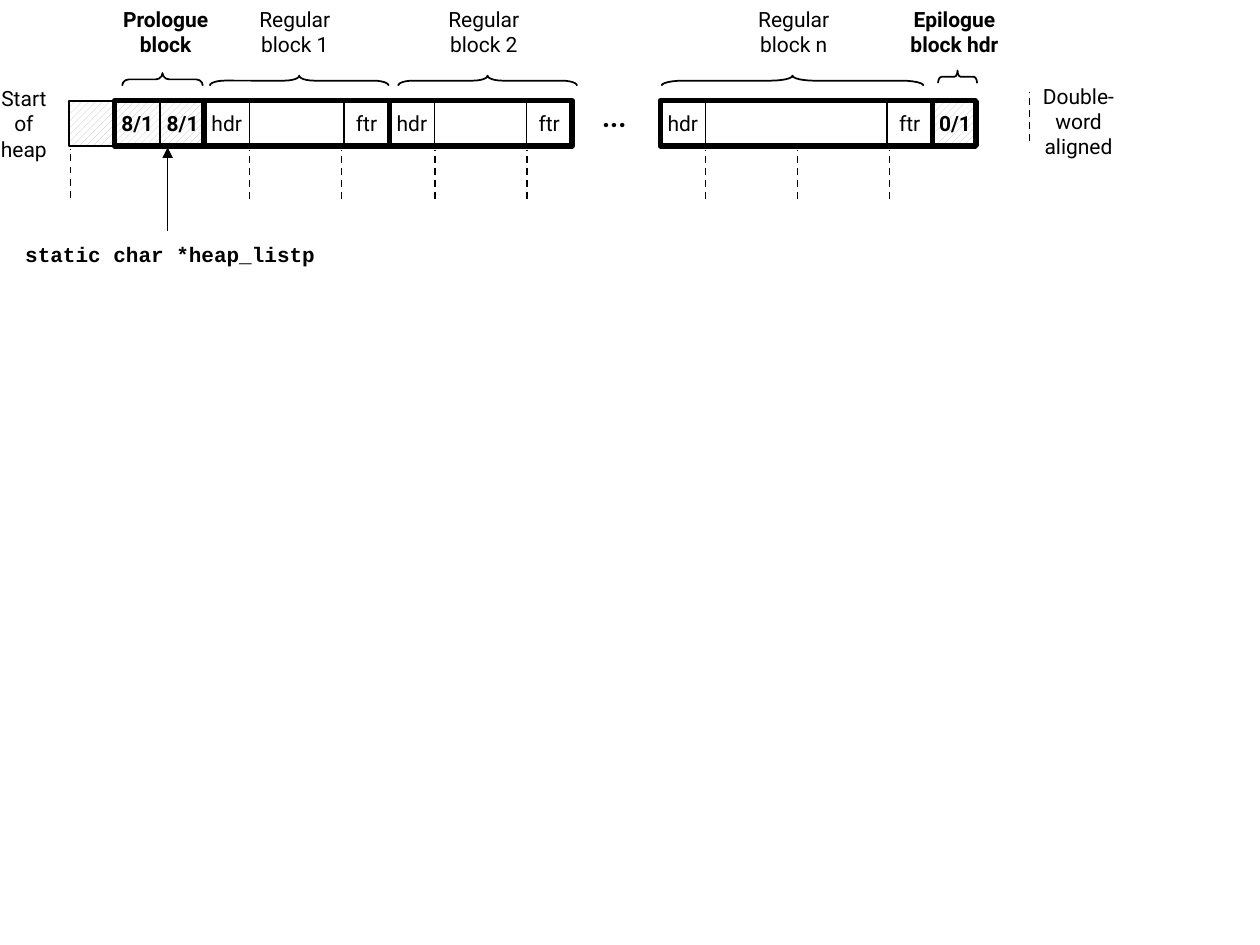
"""Build the slide that shows the layout of a heap with its sentinel blocks."""
from dataclasses import dataclass

from lxml import etree
from pptx import Presentation
from pptx.dml.color import RGBColor
from pptx.enum.dml import MSO_LINE, MSO_PATTERN
from pptx.enum.shapes import MSO_CONNECTOR, MSO_SHAPE
from pptx.enum.text import MSO_ANCHOR, PP_ALIGN
from pptx.oxml.ns import qn
from pptx.util import Inches, Pt

RECTANGLE, BRACE = MSO_SHAPE.RECTANGLE, MSO_SHAPE.RIGHT_BRACE
STRAIGHT = MSO_CONNECTOR.STRAIGHT
DASH = MSO_LINE.DASH
HATCH = MSO_PATTERN.WIDE_UPWARD_DIAGONAL
MIDDLE, CENTER = MSO_ANCHOR.MIDDLE, PP_ALIGN.CENTER

COLUMNS, ROWS = 100, 75
WORD = 3.6
DOUBLE_WORD = 7.3


@dataclass(frozen=True)
class Theme:
    """Colours, fonts and sizes of the slide."""
    ink: RGBColor = RGBColor(0, 0, 0)
    paper: RGBColor = RGBColor(255, 255, 255)
    hatch: RGBColor = RGBColor(192, 192, 192)
    font: str = "Roboto"
    code_font: str = "Courier New"
    size: int = 12
    dots_size: int = 16
    thin: int = 1
    thick: int = 3


THEME = Theme()


@dataclass(frozen=True)
class Box:
    """Area in grid columns and rows."""
    left: float
    top: float
    width: float
    height: float

    @property
    def right(self):
        """Return the right edge."""
        return self.left + self.width

    @property
    def bottom(self):
        """Return the bottom edge."""
        return self.top + self.height

    def slot(self, start, width=WORD):
        """Return a full-height part that begins start columns in."""
        return Box(self.left + start, self.top, width, self.height)

    def lengths(self):
        """Return the area as slide lengths."""
        return [grid(n) for n in (self.left, self.top, self.width, self.height)]


def grid(count):
    """Convert grid columns or rows to a length."""
    return Inches(count / 10)


def write(frame, text, bold=False, font=THEME.font, size=THEME.size, wrap=False):
    """Write centred paragraphs, one for each line of text."""
    frame.word_wrap = wrap
    frame.vertical_anchor = MIDDLE
    for index, line in enumerate(text.split("\n")):
        paragraph = frame.add_paragraph() if index else frame.paragraphs[0]
        paragraph.text = line
        paragraph.alignment = CENTER
        paragraph.font.name = font
        paragraph.font.size = Pt(size)
        paragraph.font.bold = bold
        paragraph.font.color.rgb = THEME.ink


def add_label(slide, box, text, **style):
    """Add free text in the box."""
    write(slide.shapes.add_textbox(*box.lengths()).text_frame, text, **style)


def add_outline(slide, box, preset=RECTANGLE, weight=THEME.thin, hatched=False):
    """Add an outlined shape, empty or hatched."""
    outline = slide.shapes.add_shape(preset, *box.lengths())
    outline.shadow.inherit = False
    outline.line.color.rgb = THEME.ink
    outline.line.width = Pt(weight)
    if hatched:
        outline.fill.patterned()
        outline.fill.pattern = HATCH
        outline.fill.fore_color.rgb = THEME.hatch
        outline.fill.back_color.rgb = THEME.paper
    else:
        outline.fill.background()
    return outline


def add_cell(slide, box, text, bold=False, hatched=False):
    """Add one labelled word of the heap."""
    write(add_outline(slide, box, hatched=hatched).text_frame, text, bold)


def add_brace(slide, center, middle, span, depth):
    """Add a brace that points up, centred on the given place."""
    box = Box(center - depth / 2, middle - span / 2, depth, span)
    brace = add_outline(slide, box, BRACE)
    brace.rotation = 270
    brace.adjustments[0] = span / depth / 12


def add_rule(slide, x, start, end):
    """Add a vertical line."""
    rule = slide.shapes.add_connector(STRAIGHT, grid(x), grid(start), grid(x), grid(end))
    rule.line.color.rgb = THEME.ink
    rule.line.width = Pt(THEME.thin)
    etree.SubElement(rule.line._get_or_add_ln().getparent(), qn("a:effectLst"))
    return rule


def add_alignment_mark(slide, x, top):
    """Add the dashed mark of a double-word boundary."""
    add_rule(slide, x, top + 3.9, top).line.dash_style = DASH


def add_heading(slide, center, width, text, bold=False):
    """Add the name above a block."""
    add_label(slide, Box(center - width / 2, 0, width, 5), text, bold=bold)


def regular_block(slide, box, name, heading_center, brace_center, brace_span, marks):
    """Draw a block with header, footer, name, brace and alignment marks."""
    add_cell(slide, box.slot(0), "hdr")
    add_cell(slide, box.slot(box.width - WORD), "ftr")
    add_outline(slide, box, weight=THEME.thick)
    add_heading(slide, heading_center, 7.8, f"Regular\nblock {name}")
    add_brace(slide, brace_center, box.top - 1.6, brace_span, 0.8)
    for index in range(marks):
        add_alignment_mark(slide, box.left + WORD + index * DOUBLE_WORD, box.bottom + 0.3)


def heap_start(slide, box):
    """Draw the padding word at the start of the heap."""
    add_outline(slide, box, hatched=True)
    add_label(slide, Box(box.left - 6.6, box.top - 1.7, 6, 7), "Start\nof\nheap")
    add_alignment_mark(slide, box.left + 0.1, box.bottom + 0.2)


def prologue_block(slide, box):
    """Draw the prologue block and the pointer to it."""
    add_outline(slide, box, weight=THEME.thick, hatched=True)
    for index in range(2):
        add_cell(slide, box.slot(index * WORD), "8/1", bold=True)
    add_heading(slide, box.left + 4.05, 9.3, "Prologue\nblock", bold=True)
    add_brace(slide, box.left + 3.8, box.top - 1.7, 6.4, 1)
    pointer = add_rule(slide, box.left + 4.2, box.bottom + 6.7, box.bottom + 0.1)
    etree.SubElement(pointer.line._get_or_add_ln(), qn("a:tailEnd"), type="triangle")
    add_label(slide, Box(box.left - 8.2, box.bottom + 7.1, 25.2, 3),
              "static char *heap_listp", bold=True, font=THEME.code_font)


def epilogue_header(slide, box):
    """Draw the epilogue header."""
    add_cell(slide, box, "0/1", bold=True, hatched=True)
    add_outline(slide, box.slot(0, 3.4), weight=THEME.thick)
    add_heading(slide, box.left + 1.75, 9.5, "Epilogue\nblock hdr", bold=True)
    add_brace(slide, box.left + 2, box.top - 1.9, 3.1, 1)


def alignment_key(slide, box):
    """Explain the dashed mark."""
    add_alignment_mark(slide, box.left, box.top + 1.2)
    add_label(slide, box, "Double-\nword\naligned")


def main():
    """Build and save the slide."""
    deck = Presentation()
    deck.slide_width, deck.slide_height = grid(COLUMNS), grid(ROWS)
    slide = deck.slides.add_slide(deck.slide_layouts[6])
    heap = Box(5.5, 8, 72.1, WORD)
    heap_start(slide, heap.slot(0))
    prologue_block(slide, heap.slot(WORD, 7.1))
    regular_block(slide, heap.slot(10.7, 14.7), "1", 23.4, 23.75, 14.2, 2)
    regular_block(slide, heap.slot(25.4, 14.5), "2", 38.4, 38.7, 14.2, 2)
    add_label(slide, Box(46.8, 7.4, 3.9, 3.7), "...",
              bold=True, size=THEME.dots_size, wrap=True)
    regular_block(slide, heap.slot(46.9, 21.6), "n", 63, 62.9, 20.8, 3)
    epilogue_header(slide, heap.slot(68.5))
    alignment_key(slide, Box(81.7, 6.1, 7.8, 7))
    deck.save("out.pptx")


if __name__ == "__main__":
    main()
